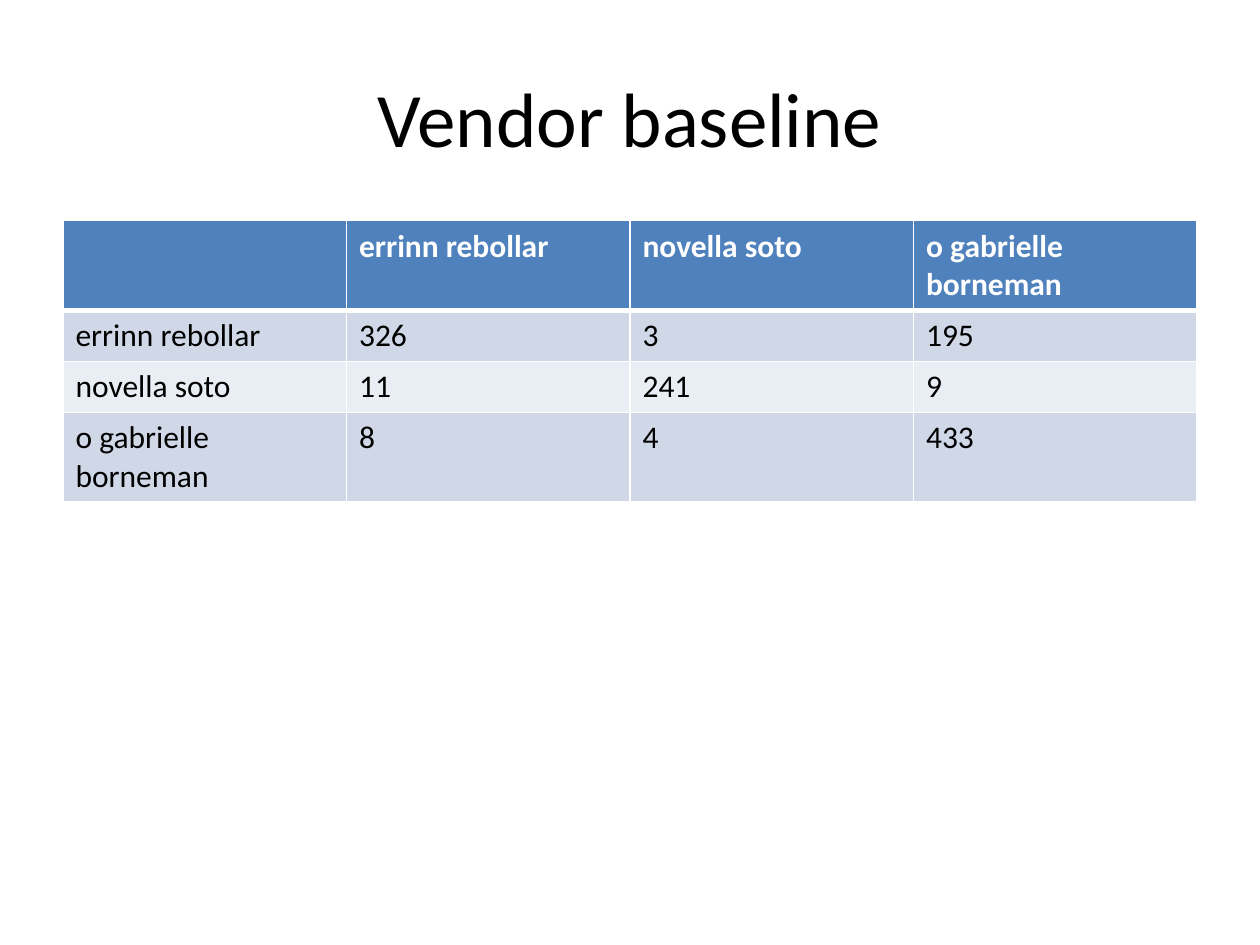
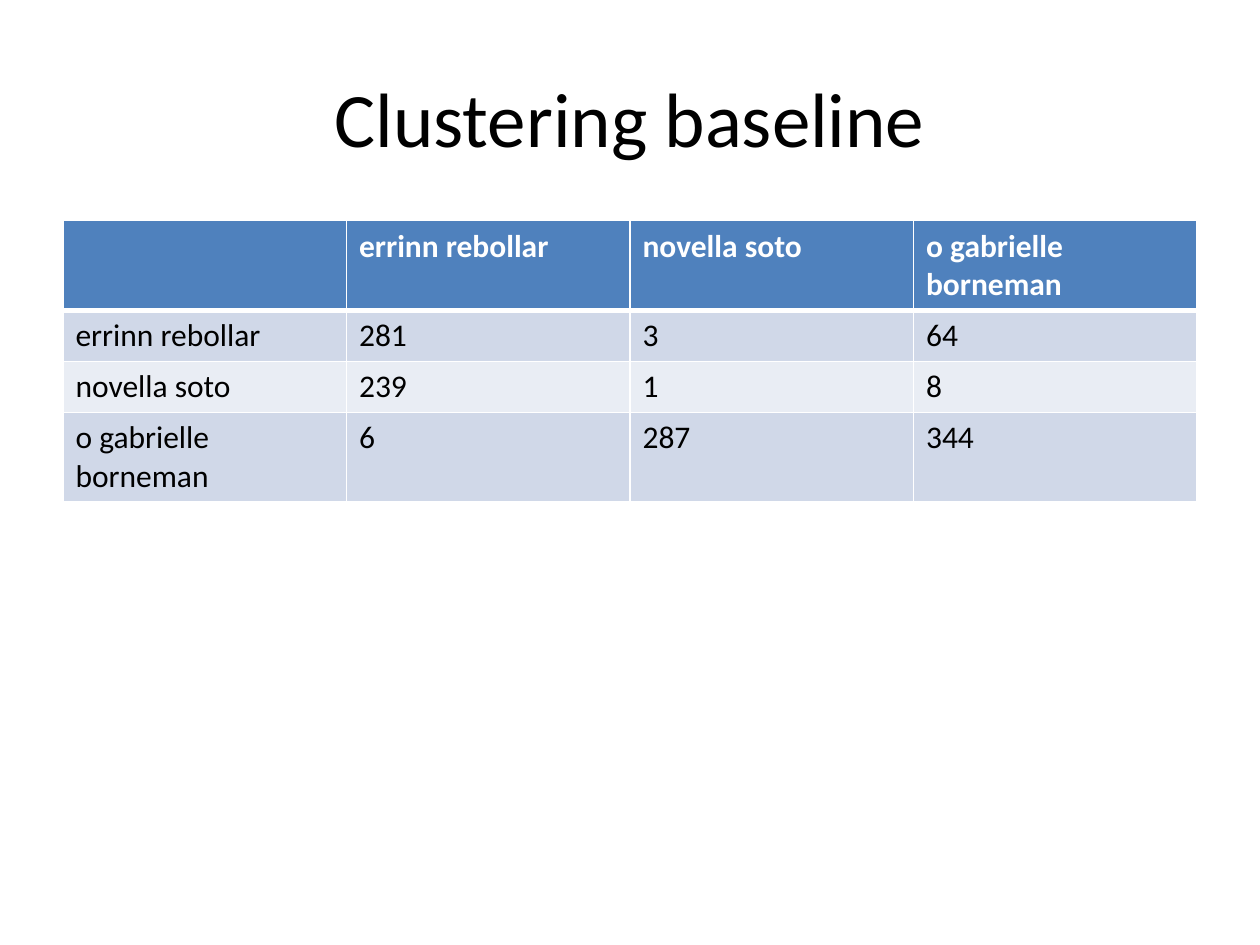
from lxml import etree
from pptx import Presentation
from pptx.dml.color import RGBColor
from pptx.enum.text import MSO_ANCHOR, PP_ALIGN
from pptx.oxml.ns import qn
from pptx.util import Cm, Pt

CENTER = PP_ALIGN.CENTER
MIDDLE = MSO_ANCHOR.MIDDLE
TITLE_ONLY = 5

# Shared style
FONT = "Calibri"
COLORS = {
    "text": "000000",
    "header_text": "FFFFFF",
    "header": "4F81BD",
    "odd_row": "D0D8E8",
    "even_row": "E9EDF4",
    "border": "FFFFFF",
}
LEFT, WIDTH = Cm(1.27), Cm(22.86)
ROW_HEIGHT = Cm(1.03)
THIN, THICK = Pt(1), Pt(3)

# Content: confusion counts, one row per speaker
SPEAKERS = ["errinn rebollar", "novella soto", "o gabrielle borneman"]
BASELINES = {
    "Vendor baseline": [[326, 3, 195], [11, 241, 9], [8, 4, 433]],
    "Clustering baseline": [[281, 3, 64], [239, 1, 8], [6, 287, 344]],
}


def add_run(p, text, size, color, bold=False):
    r = p.add_run()
    r.text = text
    r.font.name = FONT
    r.font.size = Pt(size)
    r.font.bold = bold
    r.font.color.rgb = RGBColor.from_string(COLORS[color])


def add_title(s, text):
    sp = s.shapes.title
    sp.left, sp.top, sp.width, sp.height = LEFT, Cm(0.76), WIDTH, Cm(3.18)
    tf = sp.text_frame
    tf.vertical_anchor = MIDDLE
    p = tf.paragraphs[0]
    p.alignment = CENTER
    add_run(p, text, 44, "text")


def set_borders(cell, top, bottom):
    tc_pr = cell._tc.get_or_add_tcPr()
    widths = {"a:lnL": THIN, "a:lnR": THIN, "a:lnT": top, "a:lnB": bottom}
    for tag, width in widths.items():
        ln = etree.SubElement(tc_pr, qn(tag), w=str(width))
        fill = etree.SubElement(ln, qn("a:solidFill"))
        etree.SubElement(fill, qn("a:srgbClr"), val=COLORS["border"])


def format_cell(cell, text, row):
    header = row == 0
    set_borders(cell, THICK if row == 1 else THIN, THICK if header else THIN)
    fill = "header" if header else "odd_row" if row % 2 else "even_row"
    cell.fill.solid()
    cell.fill.fore_color.rgb = RGBColor.from_string(COLORS[fill])
    if text:
        color = "header_text" if header else "text"
        add_run(cell.text_frame.paragraphs[0], text, 18, color, header)


def add_confusion_table(s, counts):
    rows = [["", *SPEAKERS]]
    rows += [[name, *map(str, row)] for name, row in zip(SPEAKERS, counts)]
    height = Cm(5.61)
    sp = s.shapes.add_table(len(rows), len(rows[0]), LEFT, Cm(4.45), WIDTH, height)
    for i, row in enumerate(rows):
        sp.table.rows[i].height = ROW_HEIGHT
        for j, text in enumerate(row):
            format_cell(sp.table.cell(i, j), text, i)
    # Rows with wrapped names grow to fill this height
    sp.height = height


def main():
    prs = Presentation()
    prs.slide_width, prs.slide_height = Cm(25.4), Cm(19.05)
    for title, counts in BASELINES.items():
        s = prs.slides.add_slide(prs.slide_layouts[TITLE_ONLY])
        add_title(s, title)
        add_confusion_table(s, counts)
    prs.save("out.pptx")


if __name__ == "__main__":
    main()
